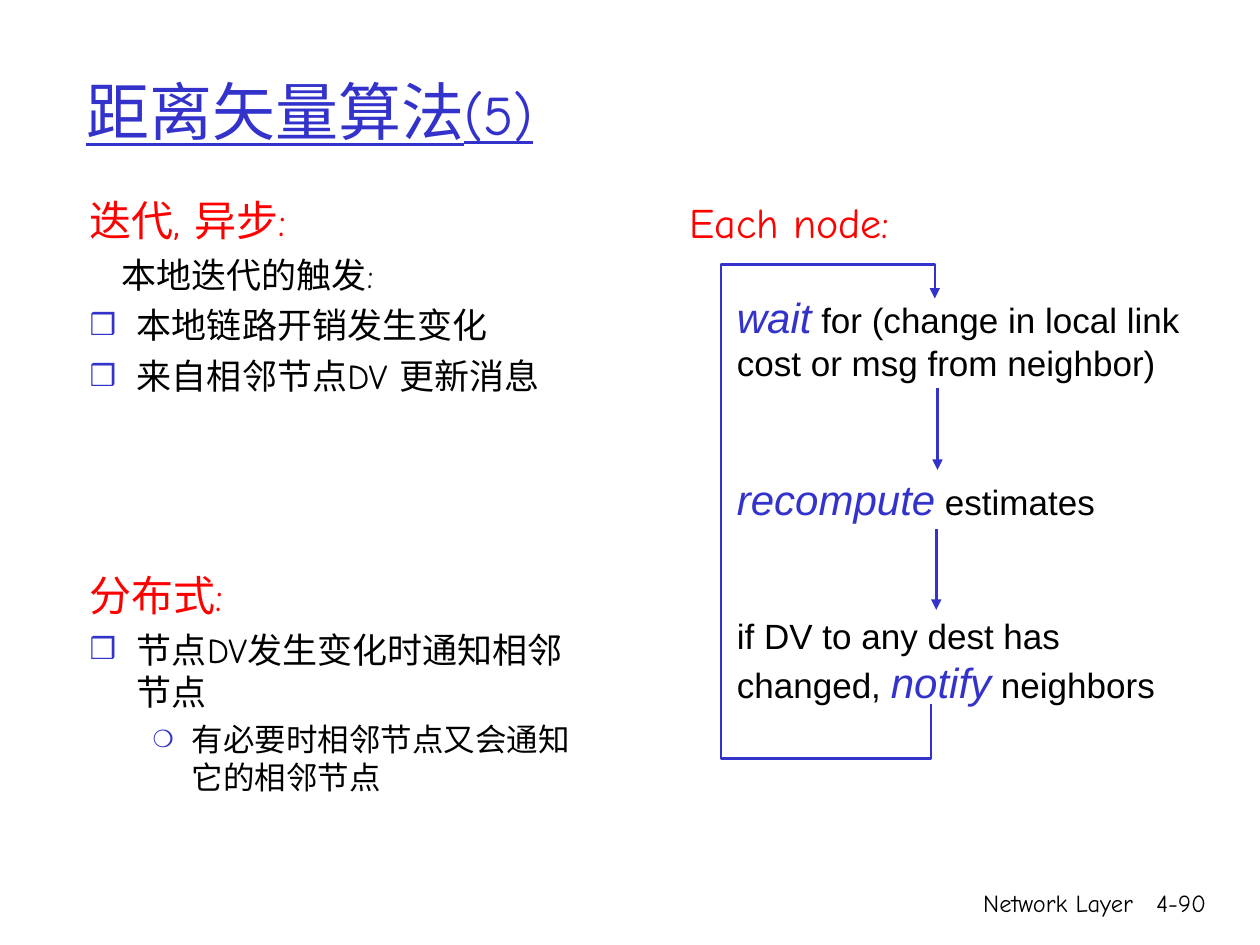
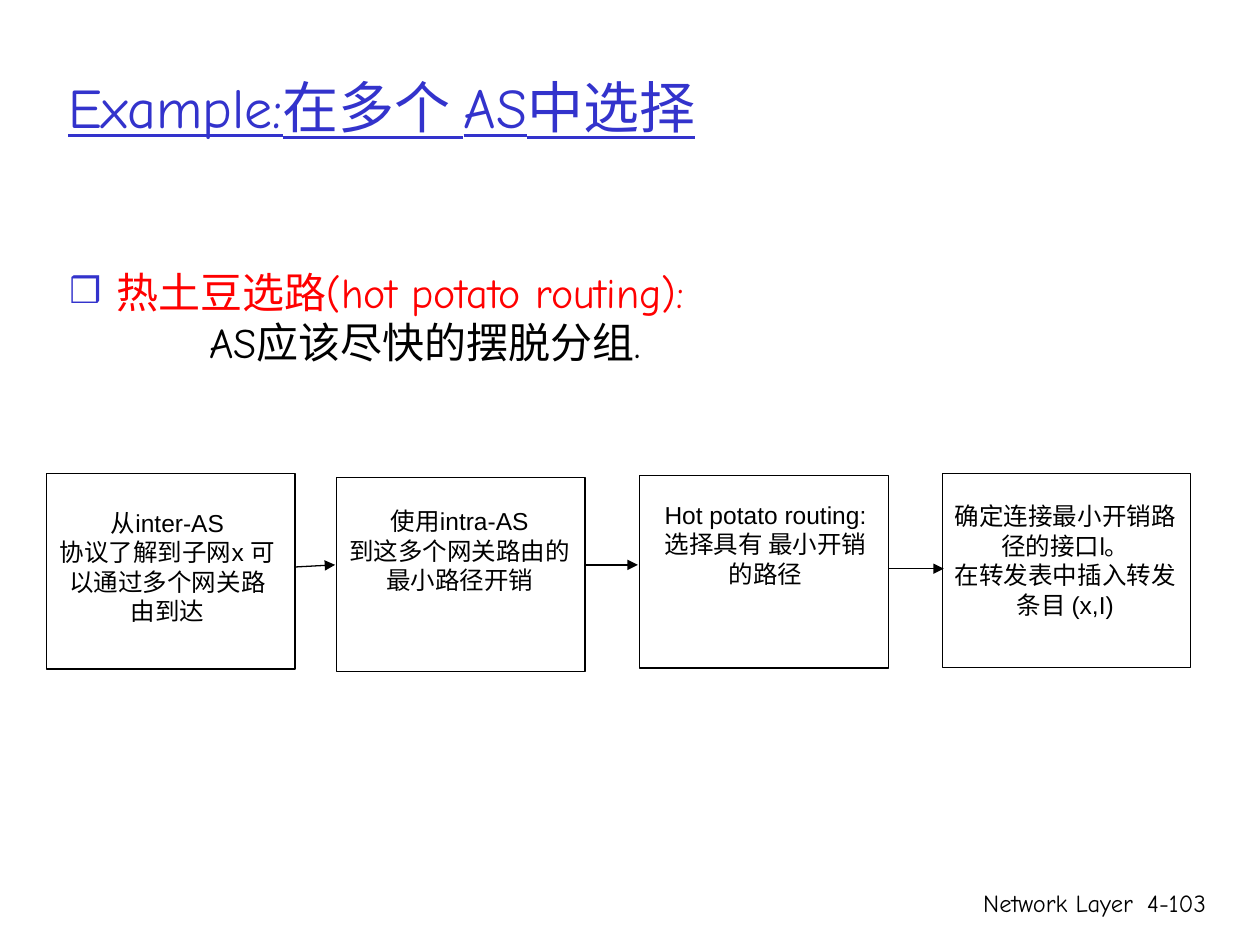
from lxml import etree
from pptx import Presentation
from pptx.dml.color import RGBColor
from pptx.enum import shapes, text
from pptx.oxml import ns
from pptx.util import Pt

BLUE, RED, BLACK = "3333CC", "FF0000", "000000"
HAND, SANS = "Comic Neue", "Arial"
LEFT, CENTER, RIGHT = text.PP_ALIGN.LEFT, text.PP_ALIGN.CENTER, text.PP_ALIGN.RIGHT
TITLE = {"name": HAND, "size": Pt(36), "color": BLUE, "underline": True}
SMALL_TITLE = {**TITLE, "size": Pt(32)}
HEADING = {"name": HAND, "size": Pt(24), "color": RED}
BODY = {"name": HAND, "size": Pt(20), "color": BLACK}
SUB_BODY = {**BODY, "size": Pt(18)}
FOOTER = {**BODY, "size": Pt(14)}
ACTION = {"name": SANS, "size": Pt(24), "color": BLUE, "italic": True}
DETAIL = {"name": SANS, "size": Pt(20), "color": BLACK}
CAPTION = {**DETAIL, "size": Pt(14)}
ITEM = {"left": 27, "hang": 27, "bullet": "❒", "bullet_size": 85}
SUB_ITEM = {"left": 58.5, "hang": 22.5, "bullet": "❍", "bullet_size": 75}


def color(value):
    return RGBColor.from_string(value)


def apply_format(target, values):
    for name, value in values.items():
        if name == "color":
            target.color.rgb = color(value)
        else:
            setattr(target, name, value)


def place(shape, box):
    names = ("left", "top", "width", "height")
    apply_format(shape, {name: Pt(value) for name, value in zip(names, box)})


def add_element(parent, tag, **attributes):
    return etree.SubElement(parent, ns.qn(tag), attributes)


def set_list_style(paragraph, left=0, hang=0, bullet=None, bullet_size=100):
    properties = paragraph._p.get_or_add_pPr()
    properties.set("marL", str(Pt(left)))
    properties.set("indent", str(Pt(-hang)))
    if bullet is None:
        add_element(properties, "a:buNone")
        return
    add_element(add_element(properties, "a:buClr"), "a:srgbClr", val=BLUE)
    add_element(properties, "a:buSzPct", val=str(bullet_size * 1000))
    add_element(properties, "a:buChar", char=bullet)


def write(shape, paragraphs, anchor=text.MSO_ANCHOR.TOP, wrap=True):
    frame = shape.text_frame
    apply_format(frame, {"word_wrap": wrap, "vertical_anchor": anchor,
                         "auto_size": text.MSO_AUTO_SIZE.NONE})
    for index, (runs, list_style, layout) in enumerate(paragraphs):
        paragraph = frame.add_paragraph() if index else frame.paragraphs[0]
        set_list_style(paragraph, **list_style)
        apply_format(paragraph, {"alignment": LEFT, "space_before": Pt(0), **layout})
        for words, font in runs:
            run = paragraph.add_run()
            run.text = words
            apply_format(run.font, font)


def line_of(words, font, list_style=None, **layout):
    return [(words, font)], list_style or {}, layout


def add_text(slide, box, paragraphs, wrap=True):
    shape = slide.shapes.add_textbox(*map(Pt, box))
    write(shape, paragraphs, wrap=wrap)


def set_line(shape, line_color, width, arrow=False):
    shape.line.color.rgb = color(line_color)
    shape.line.width = Pt(width)
    if arrow:
        outline = shape._element.spPr.find(ns.qn("a:ln"))
        add_element(outline, "a:tailEnd", type="triangle")


def add_arrow(slide, start, end, line_color, width):
    connector = slide.shapes.add_connector(
        shapes.MSO_CONNECTOR.STRAIGHT, *map(Pt, start + end))
    set_line(connector, line_color, width, arrow=True)
    add_element(connector._element.spPr, "a:effectLst")


def add_loop(slide, points):
    corners = [(Pt(x), Pt(y)) for x, y in points]
    builder = slide.shapes.build_freeform(*corners[0])
    builder.add_line_segments(corners[1:], close=False)
    loop = builder.convert_to_shape()
    loop.fill.background()
    loop.shadow.inherit = False
    set_line(loop, BLUE, 1.5, arrow=True)


def add_box(slide, box):
    rectangle = slide.shapes.add_shape(
        shapes.MSO_SHAPE.RECTANGLE, *map(Pt, box))
    rectangle.fill.background()
    rectangle.shadow.inherit = False
    set_line(rectangle, BLACK, 0.75)


def add_slide(presentation, title_box, title_runs, body_box, body, number):
    slide = presentation.slides.add_slide(presentation.slide_layouts[1])
    title, content = slide.placeholders
    place(title, title_box)
    write(title, [(title_runs, {}, {})], anchor=text.MSO_ANCHOR.MIDDLE)
    place(content, body_box)
    write(content, body)
    for box, words in (((426, 504, 228.5, 36), "Network Layer"),
                       ((643, 504, 53.3, 36), number)):
        add_text(slide, box, [line_of(words, FOOTER, alignment=RIGHT)])
    return slide


def build_distance_vector(presentation):
    gap = {"space_before": Pt(5)}
    body = [
        line_of("迭代, 异步:", HEADING),
        line_of("本地迭代的触发:", BODY, {"left": 18.3}, **gap),
        line_of("本地链路开销发生变化", BODY, ITEM, **gap),
        line_of("来自相邻节点DV 更新消息", BODY, ITEM, **gap),
        line_of("分布式:", HEADING, space_before=Pt(98.5)),
        line_of("节点DV发生变化时通知相邻节点", BODY, ITEM, **gap),
        line_of("有必要时相邻节点又会通知它的相邻节点", SUB_BODY, SUB_ITEM,
                space_before=Pt(4.5)),
    ]
    slide = add_slide(presentation, (42, 18, 612, 90),
                      [("距离矢量算法", TITLE), ("(5)", SMALL_TITLE)],
                      (44, 107.3, 298, 366), body, "4-90")
    step_gap = {"space_before": Pt(51.5)}
    steps = [
        ([("wait", ACTION),
          (" for (change in local link cost or msg from neighbor)", DETAIL)], {}, {}),
        ([("recompute", ACTION), (" estimates", DETAIL)], {}, step_gap),
        ([("if DV to any dest has changed, ", DETAIL), ("notify", ACTION),
          (" neighbors", DETAIL)], {}, step_gap),
    ]
    add_text(slide, (414, 163, 277, 274), steps)
    for x, top, bottom in ((535.7, 222, 268.5), (535, 302.4, 348.5)):
        add_arrow(slide, (x, top), (x, bottom), BLUE, 1.5)
    add_loop(slide, [(532, 402.5), (532, 433.5), (412, 433.5),
                     (412, 151.2), (534.2, 151.2), (534.2, 170.6)])
    add_text(slide, (386.6, 108.7, 129, 36),
             [line_of("Each node:", HEADING, alignment=CENTER)], wrap=False)


def build_hot_potato(presentation):
    spacing = {"line_spacing": 0.8}
    body = [
        line_of("热土豆选路(hot potato routing):", HEADING, ITEM, **spacing),
        line_of("AS应该尽快的摆脱分组.", {**HEADING, "color": BLACK}, {"left": 80},
                space_before=Pt(6), **spacing),
    ]
    slide = add_slide(presentation, (31.7, 15.8, 646.5, 90),
                      [("Example:在多个 AS中选择", SMALL_TITLE)],
                      (32.4, 154, 630, 94.3), body, "4-103")
    steps = [
        ((26.6, 270.7, 142, 111.6), (25.9, 286.6, 139.7, 75),
         ["从inter-AS", "协议了解到子网x 可以通过多个网关路由到达"]),
        ((192.4, 272.9, 142, 110.9), (190, 285.8, 145.4, 57.6),
         ["使用intra-AS", "到这多个网关路由的最小路径开销"]),
        ((365.6, 271.6, 142, 110.2), (366.5, 282.2, 142, 57.6),
         ["Hot potato routing:", "选择具有 最小开销的路径"]),
        ((538.4, 270.7, 142, 110.9), (537.8, 283, 142, 75),
         ["确定连接最小开销路径的接口l。", "在转发表中插入转发条目 (x,I)"]),
    ]
    for box, caption_box, lines in steps:
        add_box(slide, box)
        add_text(slide, caption_box,
                 [line_of(words, CAPTION, alignment=CENTER) for words in lines])
    for start, end in (((168.5, 324), (191.5, 322.8)),
                       ((334.5, 322.8), (364.5, 322.8)),
                       ((507.6, 325), (539.3, 325))):
        add_arrow(slide, start, end, BLACK, 0.75)


def main():
    presentation = Presentation()
    apply_format(presentation, {"slide_width": Pt(720), "slide_height": Pt(540)})
    build_distance_vector(presentation)
    build_hot_potato(presentation)
    presentation.save("out.pptx")


if __name__ == "__main__":
    main()
